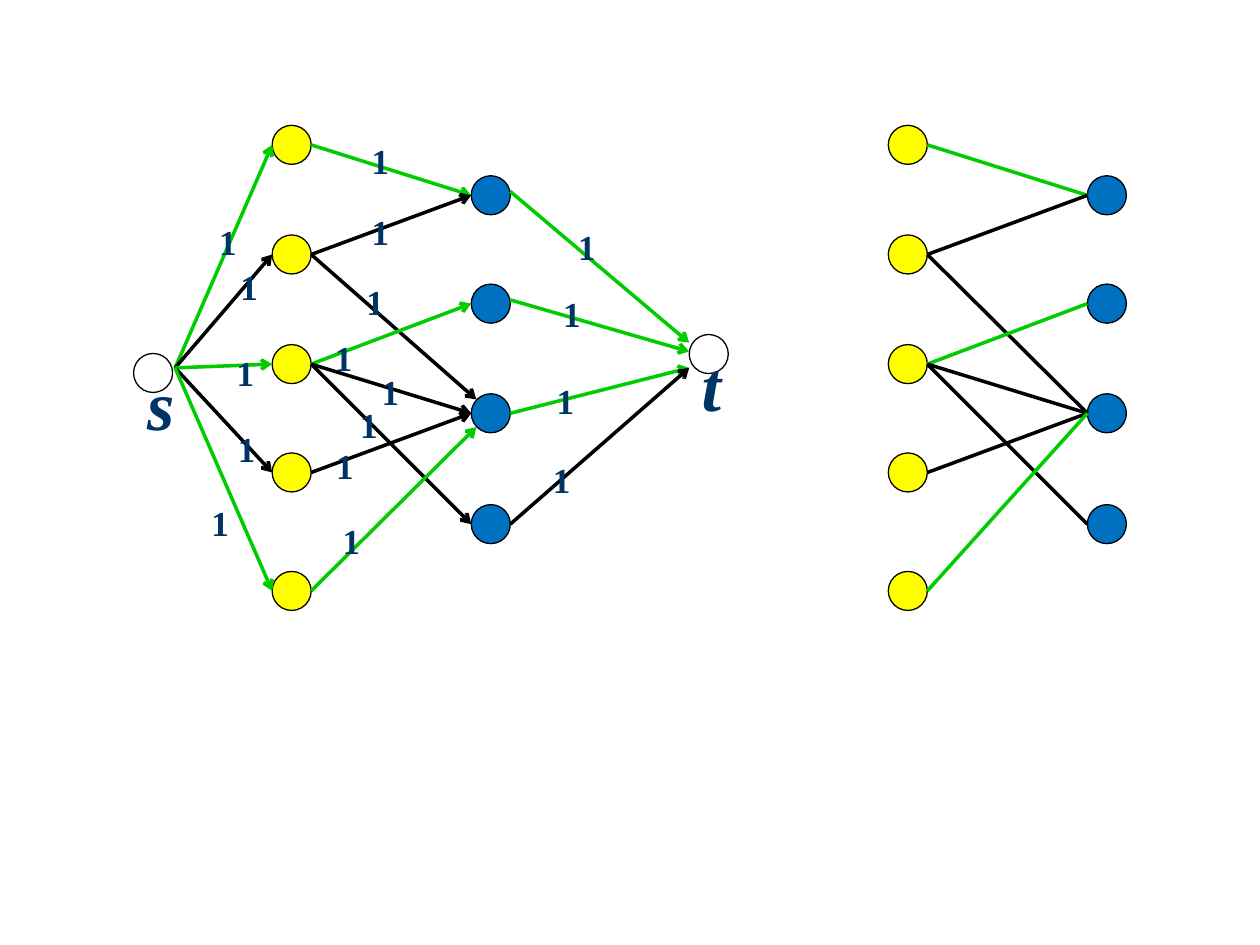
from lxml import etree
from pptx import Presentation
from pptx.dml.color import RGBColor
from pptx.enum.shapes import MSO_CONNECTOR, MSO_SHAPE
from pptx.enum.text import MSO_AUTO_SIZE
from pptx.oxml.ns import qn
from pptx.util import Inches, Pt

STRAIGHT = MSO_CONNECTOR.STRAIGHT
OVAL = MSO_SHAPE.OVAL
FIT_TEXT = MSO_AUTO_SIZE.SHAPE_TO_FIT_TEXT

COLORS = {
    "left": "FFFF00", "right": "0070C0", "terminal": "FFFFFF",
    "matched": "00CC00", "plain": "000000", "text": "003366",
}
DIAMETER = 0.31
LEFT_Y = [1.15, 2.02, 2.89, 3.75, 4.69]
RIGHT_Y = [1.55, 2.41, 3.28, 4.16]
COLUMN_GAP = 1.58
FLOW_X, MATCHING_X = 2.16, 7.05

# Left node, right node, colour
EDGES = [
    (0, 0, "matched"), (1, 0, "plain"), (1, 2, "plain"), (2, 1, "matched"),
    (2, 2, "plain"), (2, 3, "plain"), (3, 2, "plain"), (4, 2, "matched"),
]
# Flow edges that meet the right node off its left point
FLOW_ENDS = {(1, 2): (3.78, 3.17), (4, 2): (3.78, 3.39)}
SOURCE_COLORS = ["matched", "plain", "matched", "plain", "matched"]
SINK_COLORS = ["matched", "matched", "matched", "plain"]
SINK_STARTS = [1.52, 2.38, 3.28, 4.16]
SINK_ENDS = [2.72, 2.79, 2.92, 2.92]
CAPACITY_POSITIONS = [
    (1.64, 1.7), (1.81, 2.06), (1.78, 2.74), (1.79, 3.34), (1.58, 3.93),
    (2.85, 1.06), (2.85, 1.62), (2.81, 2.18), (2.56, 2.62), (2.93, 2.89),
    (2.76, 3.15), (2.57, 3.48), (2.62, 4.07),
    (4.49, 1.74), (4.37, 2.27), (4.32, 2.96), (4.29, 3.59),
]

prs = Presentation()
prs.slide_width, prs.slide_height = Inches(10), Inches(7.5)
s = prs.slides.add_slide(prs.slide_layouts[6])


def add_node(left, center_y, color):
    sp = s.shapes.add_shape(OVAL, Inches(left), Inches(center_y - DIAMETER / 2),
                            Inches(DIAMETER), Inches(DIAMETER))
    sp.shadow.inherit = False
    sp.fill.solid()
    sp.fill.fore_color.rgb = RGBColor.from_string(COLORS[color])
    sp.line.color.rgb = RGBColor.from_string(COLORS["plain"])
    sp.line.width = Pt(0.75)


def add_edge(start, end, color, arrow=True):
    cx = s.shapes.add_connector(STRAIGHT, *map(Inches, start + end))
    cx.line.color.rgb = RGBColor.from_string(COLORS[color])
    cx.line.width = Pt(2)
    if arrow:
        etree.SubElement(cx.line._get_or_add_ln(), qn("a:tailEnd"), type="arrow")
    etree.SubElement(cx._element.spPr, qn("a:effectLst"))


# Flow network and matching share one bipartite graph
for x, is_flow in [(FLOW_X, True), (MATCHING_X, False)]:
    for y in LEFT_Y:
        add_node(x, y, "left")
    for y in RIGHT_Y:
        add_node(x + COLUMN_GAP, y, "right")
    for i, j, color in EDGES:
        end = (x + COLUMN_GAP, RIGHT_Y[j])
        if is_flow:
            end = FLOW_ENDS.get((i, j), end)
        add_edge((x + DIAMETER, LEFT_Y[i]), end, color, is_flow)

# Source and sink
add_node(1.06, 2.96, "terminal")
add_node(5.47, 2.81, "terminal")
for y, color in zip(LEFT_Y, SOURCE_COLORS):
    add_edge((1.39, 2.92), (FLOW_X, y), color)
for start_y, end_y, color in zip(SINK_STARTS, SINK_ENDS, SINK_COLORS):
    add_edge((4.05, start_y), (5.47, end_y), color)

# Terminal names and edge capacities
labels = [("s", 1.07, 2.81, 0.77, 40), ("t", 5.47, 2.66, 0.77, 40)]
labels += [("1", x, y, 0.44, 20) for x, y in CAPACITY_POSITIONS]
for text, x, y, height, size in labels:
    tb = s.shapes.add_textbox(Inches(x), Inches(y), Inches(0.39), Inches(height))
    tf = tb.text_frame
    tf.word_wrap = True
    tf.auto_size = FIT_TEXT
    p = tf.paragraphs[0]
    p.text = text
    p.font.name = "Times New Roman"
    p.font.size = Pt(size)
    p.font.bold = True
    p.font.italic = text != "1"
    p.font.color.rgb = RGBColor.from_string(COLORS["text"])

prs.save("out.pptx")
